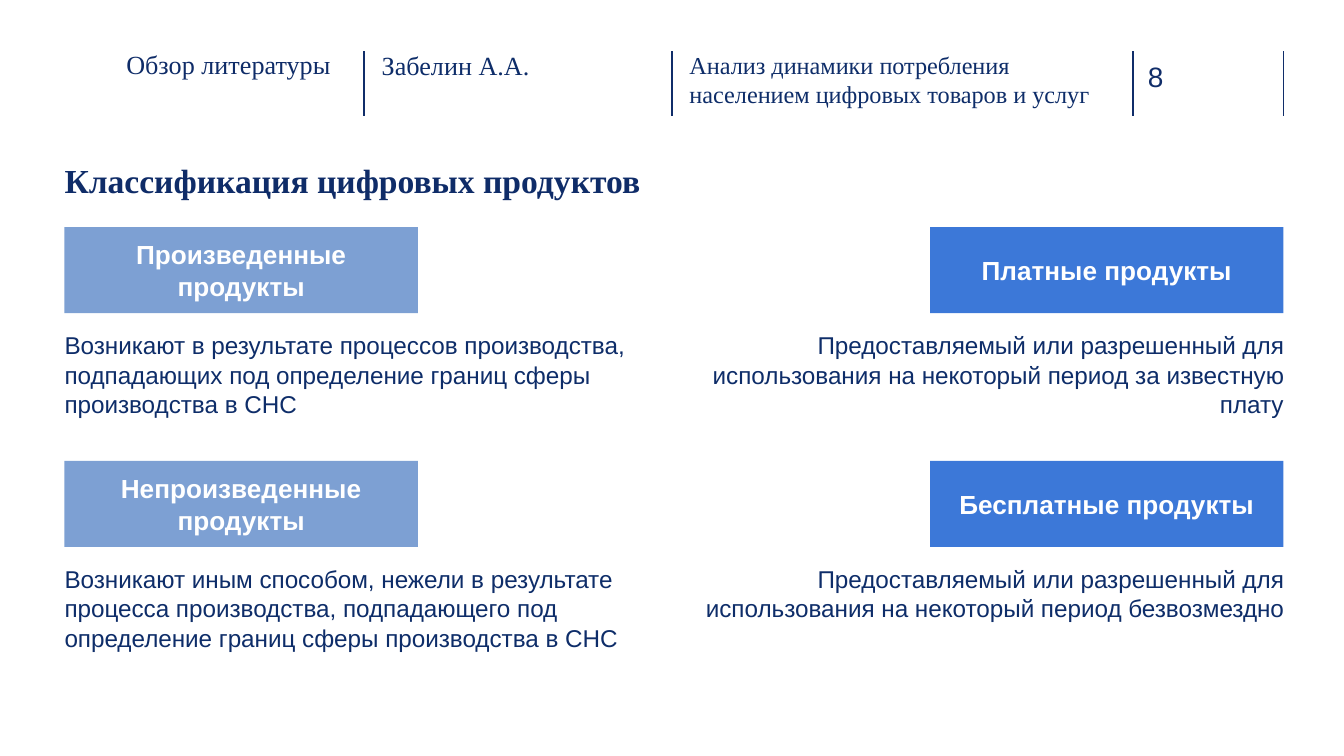
"""Build the slide that classifies digital products."""
from dataclasses import dataclass

from lxml import etree
from pptx import Presentation
from pptx import util as u
from pptx.dml.color import RGBColor
from pptx.enum import shapes, text
from pptx.oxml.ns import qn

WIDTH = 10
HEIGHT = WIDTH * 9 / 16
LEFT, RIGHT = 0.48, 9.55
ROW_TOP, ROW_STEP = 1.69, 1.74
BOX_W, BOX_H, TEXT_DROP, TEXT_H = 2.63, 0.64, 0.77, 0.84
RULE_TOP, RULE_BOTTOM = 0.38, 0.86
RULES = (2.71, 5, 8.43, RIGHT)

NAVY = RGBColor(0x0E, 0x2D, 0x69)
RULE_NAVY = RGBColor(0x10, 0x2D, 0x69)
TITLE_NAVY = RGBColor(0x0F, 0x2C, 0x68)
PALE_BLUE = RGBColor(0x7D, 0xA0, 0xD3)
BLUE = RGBColor(0x3C, 0x78, 0xD8)
WHITE = RGBColor(0xFF, 0xFF, 0xFF)
SERIF, SANS = "Times New Roman", "Arial"
ALIGN, ANCHOR = text.PP_ALIGN, text.MSO_ANCHOR


@dataclass(frozen=True)
class Style:
    """Look of a block of text."""
    size: float
    font: str = SANS
    color: RGBColor = NAVY
    bold: bool = False
    align: ALIGN = ALIGN.LEFT
    anchor: ANCHOR = ANCHOR.TOP
    insets: tuple[float, float, float, float] = (0, 0, 0, 0)


@dataclass(frozen=True)
class Label:
    """Text in the header strip."""
    words: str
    box: tuple[float, float, float, float]
    style: Style


@dataclass(frozen=True)
class Product:
    """Kind of product, with its grid cell and layout placeholder."""
    name: str
    meaning: str
    col: int
    row: int
    holder: int
    text_w: float = 4.52


LABELS = (
    Label("Обзор литературы", (0.94, 0.36, 1.56, 0.49), Style(14, SERIF, TITLE_NAVY)),
    Label("Забелин А.А.", (2.84, 0.37, 1.7, 0.49), Style(14, SERIF)),
    Label("Анализ динамики потребления населением цифровых товаров и услуг",
          (5.13, 0.37, 3.15, 0.49), Style(13, SERIF)),
    Label("8", (8.54, 0.44, 0.55, 0.25), Style(15, color=RULE_NAVY)),
)
PRODUCTS = (
    Product("Произведенные продукты",
            "Возникают в результате процессов производства, подпадающих под "
            "определение границ сферы производства в СНС", 0, 0, 1),
    Product("Непроизведенные продукты",
            "Возникают иным способом, нежели в результате процесса производства, "
            "подпадающего под определение границ сферы производства в СНС", 0, 1, 2),
    Product("Платные продукты",
            "Предоставляемый или разрешенный для использования на некоторый "
            "период за известную плату", 1, 0, 3, 4.42),
    Product("Бесплатные продукты",
            "Предоставляемый или разрешенный для использования на некоторый "
            "период безвозмездно", 1, 1, 4),
)
BOX_STYLE = Style(14, color=WHITE, bold=True, align=ALIGN.CENTER,
                  anchor=ANCHOR.MIDDLE, insets=(0.1, 0.1, 0.1, 0.1))


def place(sp, left: float, top: float, width: float, height: float) -> None:
    """Move and size a shape in inches."""
    sp.left, sp.top = u.Inches(left), u.Inches(top)
    sp.width, sp.height = u.Inches(width), u.Inches(height)


def write(sp, words: str, style: Style) -> None:
    """Put one unbulleted paragraph into a shape."""
    tf = sp.text_frame
    tf.text = words
    tf.word_wrap = True
    tf.auto_size = text.MSO_AUTO_SIZE.NONE
    tf.vertical_anchor = style.anchor
    tf.margin_left, tf.margin_top, tf.margin_right, tf.margin_bottom = map(
        u.Inches, style.insets)
    p = tf.paragraphs[0]
    p.alignment = style.align
    p.space_before = u.Pt(0)
    p.font.size, p.font.name, p.font.bold = u.Pt(style.size), style.font, style.bold
    p.font.color.rgb = style.color
    pPr = p._p.get_or_add_pPr()
    pPr.set("marL", "0")
    pPr.set("indent", "0")
    pPr.find(qn("a:spcBef")).addnext(etree.Element(qn("a:buNone")))


def draw_rule(s, x: float) -> None:
    """Draw a vertical header divider."""
    line = s.shapes.add_connector(shapes.MSO_CONNECTOR.STRAIGHT, *map(
        u.Inches, (x, RULE_TOP, x, RULE_BOTTOM)))
    line.line.color.rgb, line.line.width = RULE_NAVY, u.Pt(1)
    etree.SubElement(line._element.spPr, qn("a:effectLst"))


def draw_label(s, label: Label) -> None:
    """Add one header text."""
    write(s.shapes.add_textbox(*map(u.Inches, label.box)), label.words, label.style)


def draw_product(s, product: Product) -> None:
    """Draw a named box and the meaning under it, flush with the outer margin."""
    top = ROW_TOP + product.row * ROW_STEP
    on_right = product.col == 1
    sp = s.shapes.add_shape(shapes.MSO_SHAPE.RECTANGLE, *map(
        u.Inches, (RIGHT - BOX_W if on_right else LEFT, top, BOX_W, BOX_H)))
    sp.shadow.inherit = False
    sp.fill.solid()
    sp.fill.fore_color.rgb = BLUE if on_right else PALE_BLUE
    sp.line.fill.background()
    write(sp, product.name, BOX_STYLE)
    body = s.placeholders[product.holder]
    place(body, RIGHT - product.text_w if on_right else LEFT,
          top + TEXT_DROP, product.text_w, TEXT_H)
    write(body, product.meaning, Style(13, insets=(0, 0, 0, 0.04),
                                       align=ALIGN.RIGHT if on_right else ALIGN.LEFT))


def main() -> None:
    """Build and save the slide."""
    prs = Presentation()
    prs.slide_width, prs.slide_height = u.Inches(WIDTH), u.Inches(HEIGHT)
    s = prs.slides.add_slide(prs.slide_layouts.get_by_name("Comparison"))
    for x in RULES:
        draw_rule(s, x)
    for label in LABELS:
        draw_label(s, label)
    place(s.shapes.title, LEFT, 1.19, RIGHT - LEFT, 0.64)
    write(s.shapes.title, "Классификация цифровых продуктов",
          Style(18, SERIF, TITLE_NAVY, bold=True))
    for product in PRODUCTS:
        draw_product(s, product)
    prs.save("out.pptx")


if __name__ == "__main__":
    main()
